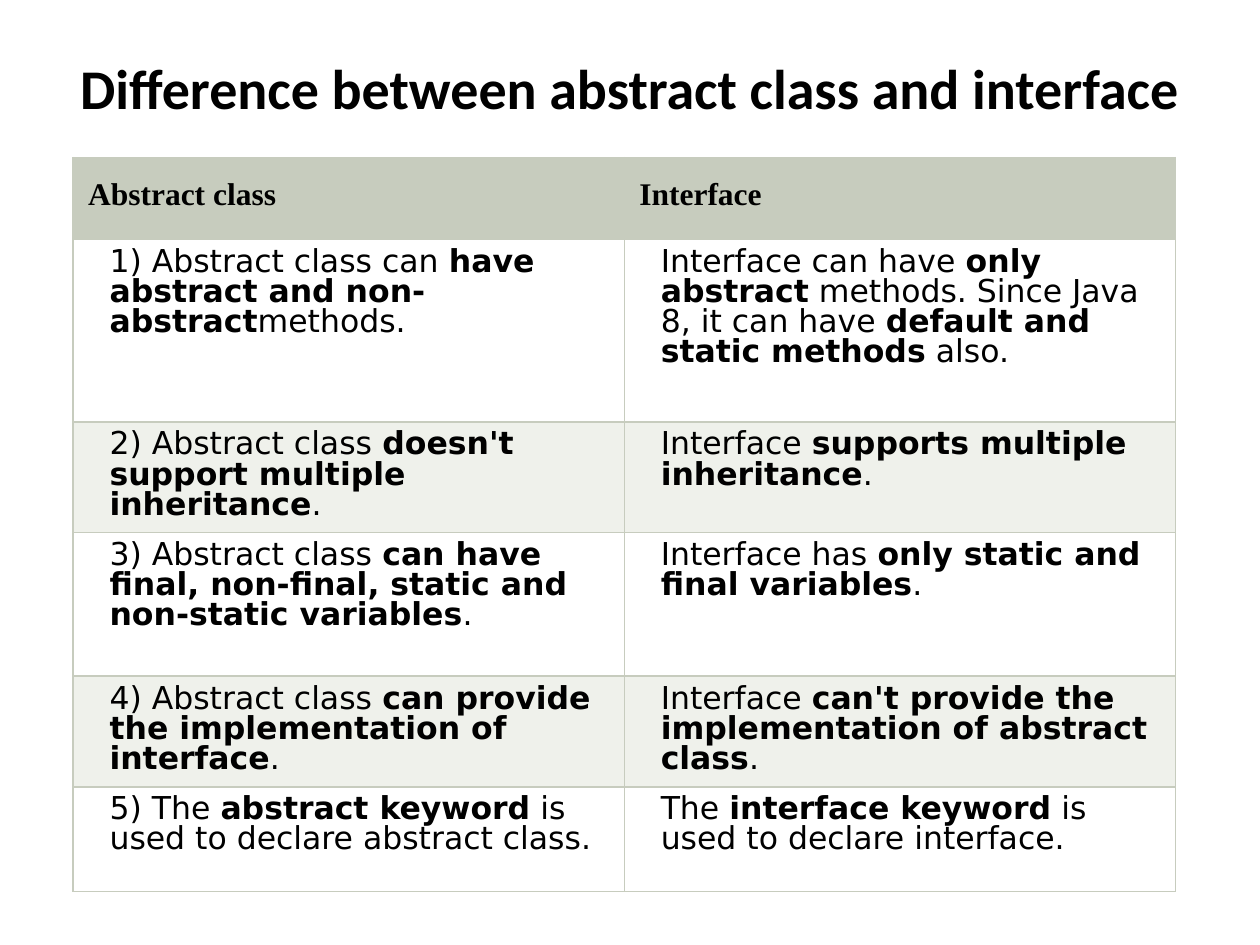
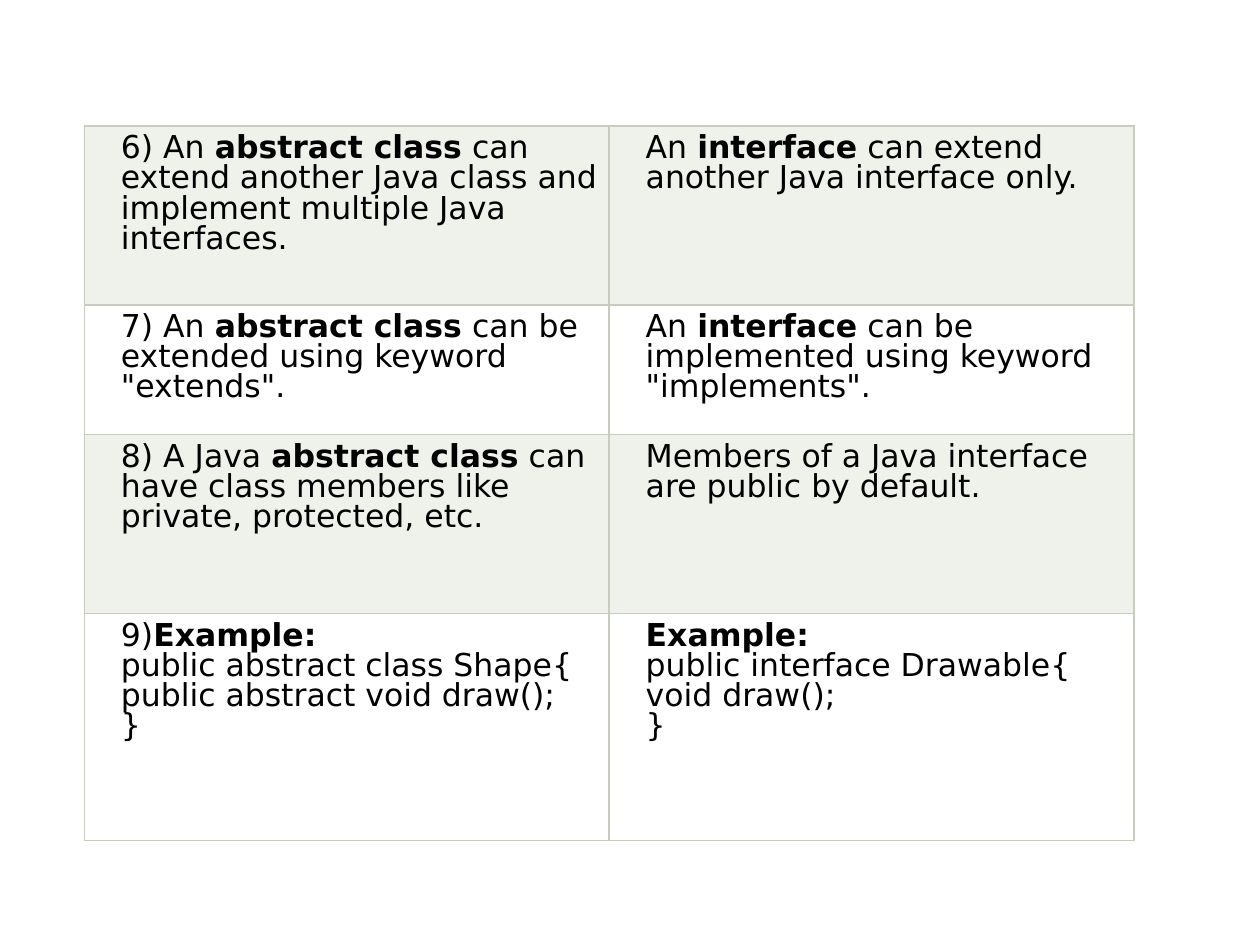
from pptx import Presentation
from pptx.dml.color import RGBColor as Rgb
from pptx.enum.text import MSO_ANCHOR as Anchor, PP_ALIGN as Align
from pptx.oxml.ns import qn
from pptx.util import Inches, Pt
from lxml.etree import SubElement as Sub

# Shared look
EDGE, BAND, PLAIN, INK = "C7CCBE", "EFF1EB", "FFFFFF", "000000"
TITLE = {"name": "Calibri", "size": Pt(32), "bold": True}
HEAD = {"name": "Times New Roman", "size": Pt(18)}
BODY = {"name": "DejaVu Sans", "size": Pt(18)}

# Cell texts: ** switches bold on and off
FIRST = [
    (0.65, "**Abstract class", "**Interface"),
    (1.45, "1) Abstract class can **have abstract and non-abstract**methods.",
     "Interface can have **only abstract** methods. Since Java 8, "
     "it can have **default and static methods** also."),
    (0.83, "2) Abstract class **doesn't support multiple inheritance**.",
     "Interface **supports multiple inheritance**."),
    (1.14, "3) Abstract class **can have final, non-final, static and "
     "non-static variables**.",
     "Interface has **only static and final variables**."),
    (0.83, "4) Abstract class **can provide the implementation of interface**.",
     "Interface **can't provide the implementation of abstract class**."),
    (0.83, "5) The **abstract keyword** is used to declare abstract class.",
     "The **interface keyword** is used to declare interface."),
]
SECOND = [
    (1.42, "6) An **abstract class** can extend another Java class and "
     "implement multiple Java interfaces.",
     "An **interface** can extend another Java interface only."),
    (1.03, "7) An **abstract class** can be extended using keyword \"extends\".",
     "An **interface** can be implemented using keyword \"implements\"."),
    (1.42, "8) A Java **abstract class** can have class members like "
     "private, protected, etc.",
     "Members of a Java interface are public by default."),
    (1.8, "9)**Example:\n**public abstract class Shape{\n"
     "public abstract void draw();\n}",
     "**Example:\n**public interface Drawable{\nvoid draw();\n}"),
]


def color(code):
    return Rgb.from_string(code)


def style(font, form):
    for key, val in form.items():
        setattr(font, key, val)
    font.color.rgb = color(INK)


def write(para, text, form):
    """Add runs, bold between ** marks, with line breaks at newlines."""
    for i, part in enumerate(text.split("**")):
        for j, line in enumerate(part.split("\n")):
            if j:
                para.add_line_break()
            if line:
                run = para.add_run()
                run.text = line
                style(run.font, {**form, "bold": i % 2 == 1})


def border(cell):
    props = cell._tc.get_or_add_tcPr()
    for side in ("lnL", "lnR", "lnT", "lnB"):
        line = Sub(props, qn(f"a:{side}"), w=str(Pt(1)))
        fill = Sub(line, qn("a:solidFill"))
        Sub(fill, qn("a:srgbClr"), val=EDGE)


def fill_cell(cell, text, tone, head):
    border(cell)
    cell.fill.solid()
    cell.fill.fore_color.rgb = color(tone)
    for side in ("left", "right", "top", "bottom"):
        setattr(cell, f"margin_{side}", Inches(0.12 if head else 0.08))
    para = cell.text_frame.paragraphs[0]
    para.line_spacing = 1.15 if head else Pt(17.2)
    if not head:
        para._p.get_or_add_pPr().set("marL", str(Inches(0.21)))
    write(para, text, HEAD if head else BODY)


def add_grid(slide, box, rows, tones, head=False):
    """Two equal columns; body rows take the two tones in turn."""
    left, top, width = box
    high = sum(row[0] for row in rows)
    grid = slide.shapes.add_table(len(rows), 2, Inches(left), Inches(top),
                                  Inches(width), Inches(high)).table
    grid.first_row = head
    grid.horz_banding = False
    for col in grid.columns:
        col.width = Inches(width / 2)
    for r, (tall, *texts) in enumerate(rows):
        grid.rows[r].height = Inches(tall)
        top_row = head and r == 0
        tone = EDGE if top_row else tones[(r - head) % 2]
        for c, text in enumerate(texts):
            fill_cell(grid.cell(r, c), text, tone, top_row)


def add_title(slide, box, text):
    title = slide.shapes.title
    title.left, title.top, title.width, title.height = map(Inches, box)
    frame = title.text_frame
    frame.text = text
    frame.vertical_anchor = Anchor.MIDDLE
    para = frame.paragraphs[0]
    para.alignment = Align.CENTER
    style(para.runs[0].font, TITLE)


def main():
    deck = Presentation()
    deck.slide_width, deck.slide_height = Inches(10), Inches(7.5)

    # Title and first five points
    slide = deck.slides.add_slide(deck.slide_layouts[5])
    add_title(slide, (0.5, 0.3, 9, 0.78),
              "Difference between abstract class and interface")
    add_grid(slide, (0.58, 1.25, 8.75), FIRST, (PLAIN, BAND), head=True)

    # Remaining points
    slide = deck.slides.add_slide(deck.slide_layouts[6])
    add_grid(slide, (0.67, 1, 8.33), SECOND, (BAND, PLAIN))
    deck.save("out.pptx")


if __name__ == "__main__":
    main()
